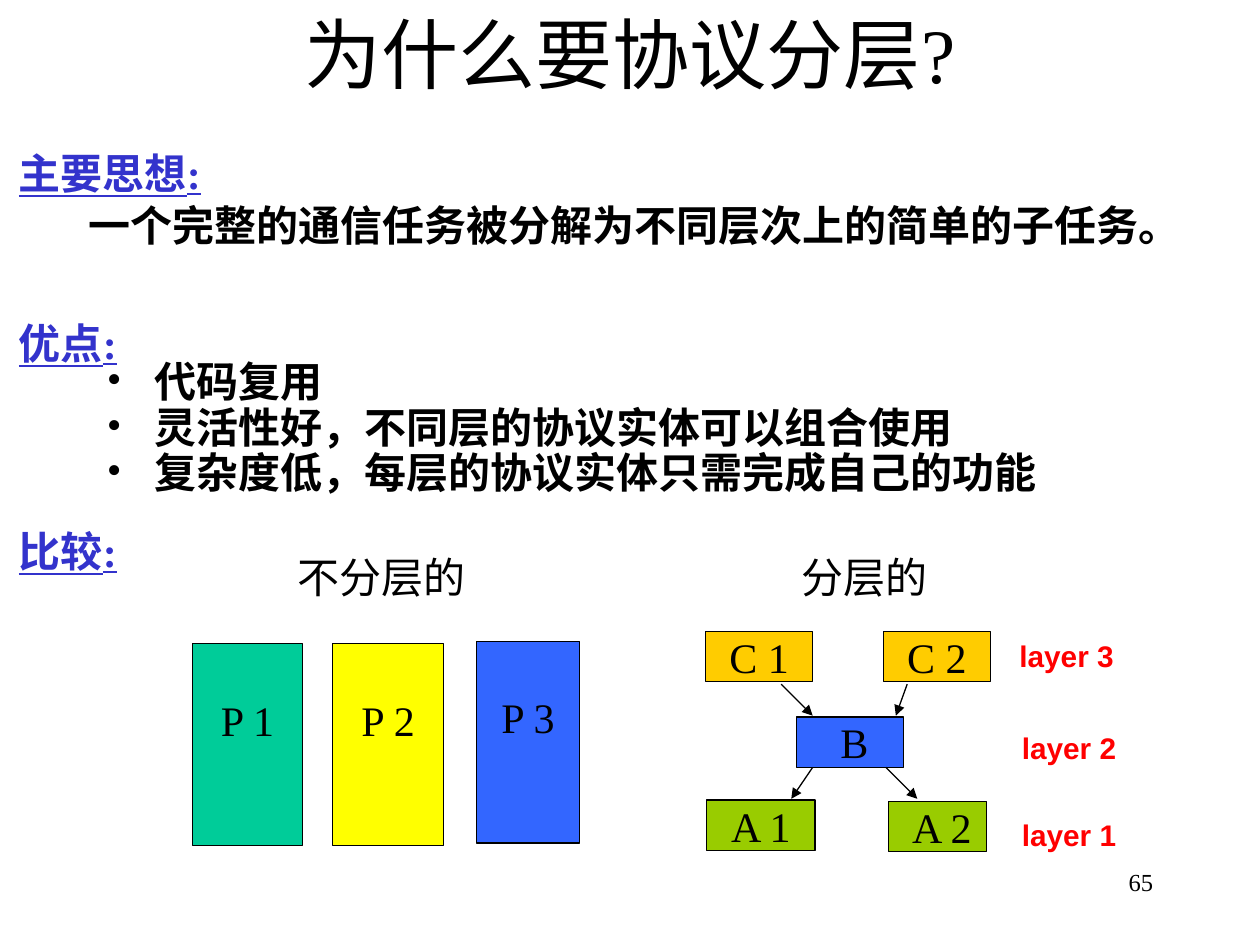
from dataclasses import dataclass

import lxml.etree
import pptx
import pptx.dml.color
import pptx.enum.shapes
import pptx.enum.text
import pptx.oxml.ns
import pptx.util

ALIGN = pptx.enum.text.PP_ALIGN
ANCHOR = pptx.enum.text.MSO_ANCHOR

# The slide is a grid of 100 columns by 75 rows; places are in columns and rows.
COLUMNS, ROWS = 100, 75
WIDTH, HEIGHT = pptx.util.Inches(10), pptx.util.Inches(7.5)

Insets = tuple[float, float, float, float]
NO_INSETS: Insets = (0, 0, 0, 0)
SIDE_INSETS: Insets = (0.2, 0, 0.2, 0)
FULL_INSETS: Insets = (1, 0.5, 1, 0.5)


@dataclass(frozen=True)
class Theme:
    serif: str = "Times New Roman"
    sans: str = "Arial"
    ink: str = "000000"
    heading: str = "3333CC"
    layer_label: str = "FF0000"
    green: str = "00CC99"
    yellow: str = "FFFF00"
    blue: str = "3366FF"
    top_layer: str = "FFCC00"
    bottom_layer: str = "99CC00"
    title_size: float = 44
    body_size: float = 24
    label_size: float = 17
    number_size: float = 14
    line_width: float = 0.75


THEME = Theme()


@dataclass(frozen=True)
class Area:
    left: float
    top: float
    width: float
    height: float

    def emu(self) -> tuple[int, int, int, int]:
        return col(self.left), row(self.top), col(self.width), row(self.height)


@dataclass(frozen=True)
class TextStyle:
    size: float = THEME.body_size
    font: str = THEME.serif
    color: str = THEME.ink
    bold: bool = False
    underline: bool = False
    align: ALIGN = ALIGN.LEFT


@dataclass(frozen=True)
class Block:
    text: str
    area: Area
    fill: str
    insets: Insets = SIDE_INSETS


@dataclass(frozen=True)
class Arrow:
    start: tuple[float, float]
    end: tuple[float, float]


def col(count: float) -> int:
    return round(WIDTH * count / COLUMNS)


def row(count: float) -> int:
    return round(HEIGHT * count / ROWS)


def rgb(value: str) -> pptx.dml.color.RGBColor:
    return pptx.dml.color.RGBColor.from_string(value)


def set_insets(frame, insets: Insets) -> None:
    left, top, right, bottom = insets
    frame.margin_left, frame.margin_right = col(left), col(right)
    frame.margin_top, frame.margin_bottom = row(top), row(bottom)


def style_paragraph(paragraph, style: TextStyle) -> None:
    paragraph.alignment = style.align
    font = paragraph.font
    font.size = pptx.util.Pt(style.size)
    font.name = style.font
    font.bold = style.bold
    font.underline = style.underline
    font.color.rgb = rgb(style.color)


def add_text(slide, text: str, area: Area, style: TextStyle,
             insets: Insets = NO_INSETS, anchor: ANCHOR = ANCHOR.TOP):
    frame = slide.shapes.add_textbox(*area.emu()).text_frame
    frame.word_wrap = True
    frame.vertical_anchor = anchor
    set_insets(frame, insets)
    frame.text = text
    for paragraph in frame.paragraphs:
        style_paragraph(paragraph, style)
    return frame


def add_bullets(slide, items: list[str], area: Area, style: TextStyle) -> None:
    frame = add_text(slide, "\n".join(items), area, style, FULL_INSETS)
    qn = pptx.oxml.ns.qn
    hanging = col(3.8)
    for index, paragraph in enumerate(frame.paragraphs):
        paragraph.line_spacing = 0.7
        paragraph.space_before = pptx.util.Pt(6 if index else 0)
        properties = paragraph._p.get_or_add_pPr()
        properties.set("marL", str(hanging))
        properties.set("indent", str(-hanging))
        run_defaults = properties.find(qn("a:defRPr"))
        run_defaults.addprevious(lxml.etree.Element(qn("a:buFont"), typeface=style.font))
        run_defaults.addprevious(lxml.etree.Element(qn("a:buChar"), char="•"))


def add_block(slide, block: Block) -> None:
    rectangle = pptx.enum.shapes.MSO_SHAPE.RECTANGLE
    shape = slide.shapes.add_shape(rectangle, *block.area.emu())
    shape.shadow.inherit = False
    shape.fill.solid()
    shape.fill.fore_color.rgb = rgb(block.fill)
    shape.line.color.rgb = rgb(THEME.ink)
    shape.line.width = pptx.util.Pt(THEME.line_width)
    frame = shape.text_frame
    frame.word_wrap = False
    frame.vertical_anchor = ANCHOR.MIDDLE
    set_insets(frame, block.insets)
    frame.text = block.text
    style_paragraph(frame.paragraphs[0], TextStyle(align=ALIGN.CENTER))


def add_arrow(slide, arrow: Arrow) -> None:
    (x1, y1), (x2, y2) = arrow.start, arrow.end
    straight = pptx.enum.shapes.MSO_CONNECTOR.STRAIGHT
    connector = slide.shapes.add_connector(straight, col(x1), row(y1), col(x2), row(y2))
    connector.line.color.rgb = rgb(THEME.ink)
    connector.line.width = pptx.util.Pt(THEME.line_width)
    qn = pptx.oxml.ns.qn
    properties = connector._element.spPr
    lxml.etree.SubElement(properties.find(qn("a:ln")), qn("a:tailEnd"), type="triangle")
    lxml.etree.SubElement(properties, qn("a:effectLst"))


def main() -> None:
    deck = pptx.Presentation()
    deck.slide_width, deck.slide_height = WIDTH, HEIGHT
    slide = deck.slides.add_slide(deck.slide_layouts[6])

    # Title
    add_text(slide, "为什么要协议分层?", Area(7.5, -0.8, 85, 10),
             TextStyle(size=THEME.title_size, align=ALIGN.CENTER), FULL_INSETS, ANCHOR.MIDDLE)

    # Section headings, main idea and advantages
    heading = TextStyle(color=THEME.heading, bold=True, underline=True)
    for text, top, width in (("主要思想:", 11.7, 17), ("优点:", 25.2, 10), ("比较:", 41.7, 10)):
        add_text(slide, text, Area(1.3, top, width, 4), heading, SIDE_INSETS)
    strong = TextStyle(bold=True)
    add_text(slide, "一个完整的通信任务被分解为不同层次上的简单的子任务。",
             Area(6.8, 15.8, 87.3, 4), strong, SIDE_INSETS)
    advantages = ["代码复用", "灵活性好，不同层的协议实体可以组合使用",
                  "复杂度低，每层的协议实体只需完成自己的功能"]
    add_bullets(slide, advantages, Area(7.5, 28.8, 86.6, 12.2), strong)

    # Captions of the two designs
    for text, left, width in (("不分层的", 23.6, 14.5), ("分层的", 63.6, 11)):
        add_text(slide, text, Area(left, 43.8, width, 4), TextStyle())

    # Unlayered: separate protocols, labelled above the middle
    raised = (0.2, 0, 0.2, 4)
    unlayered = [
        Block("P 1", Area(15.3, 51.1, 8.7, 16), THEME.green, raised),
        Block("P 2", Area(26.4, 51.1, 8.8, 16), THEME.yellow, raised),
        Block("P 3", Area(37.8, 50.9, 8.2, 16), THEME.blue, raised),
    ]
    # Layered: entities share the layer between them
    shifted = (0.9, 0, 0.2, 0)
    layered = [
        Block("C 1", Area(56, 50.1, 8.5, 4), THEME.top_layer),
        Block("C 2", Area(70.1, 50.1, 8.5, 4), THEME.top_layer),
        Block("B", Area(63.2, 56.9, 8.5, 4), THEME.blue, shifted),
        Block("A 1", Area(56.1, 63.5, 8.6, 4), THEME.bottom_layer),
        Block("A 2", Area(70.5, 63.6, 7.8, 4), THEME.bottom_layer, shifted),
    ]
    for block in unlayered + layered:
        add_block(slide, block)
    for arrow in (Arrow((62, 54.3), (64.5, 56.8)), Arrow((72, 54.3), (71.1, 56.8)),
                  Arrow((64.5, 60.9), (62.8, 63.4)), Arrow((70.3, 60.9), (72.8, 63.4))):
        add_arrow(slide, arrow)

    # Layer labels
    label = TextStyle(THEME.label_size, THEME.sans, THEME.layer_label, bold=True)
    for level, left, top in ((3, 80.9, 50.6), (2, 81.1, 57.9), (1, 81.1, 64.8)):
        add_text(slide, f"layer {level}", Area(left, top, 8.5, 2.8), label)

    # Slide number
    add_text(slide, "65", Area(71.7, 68.3, 20.8, 5),
             TextStyle(size=THEME.number_size, align=ALIGN.RIGHT), FULL_INSETS)

    deck.save("out.pptx")


if __name__ == "__main__":
    main()
